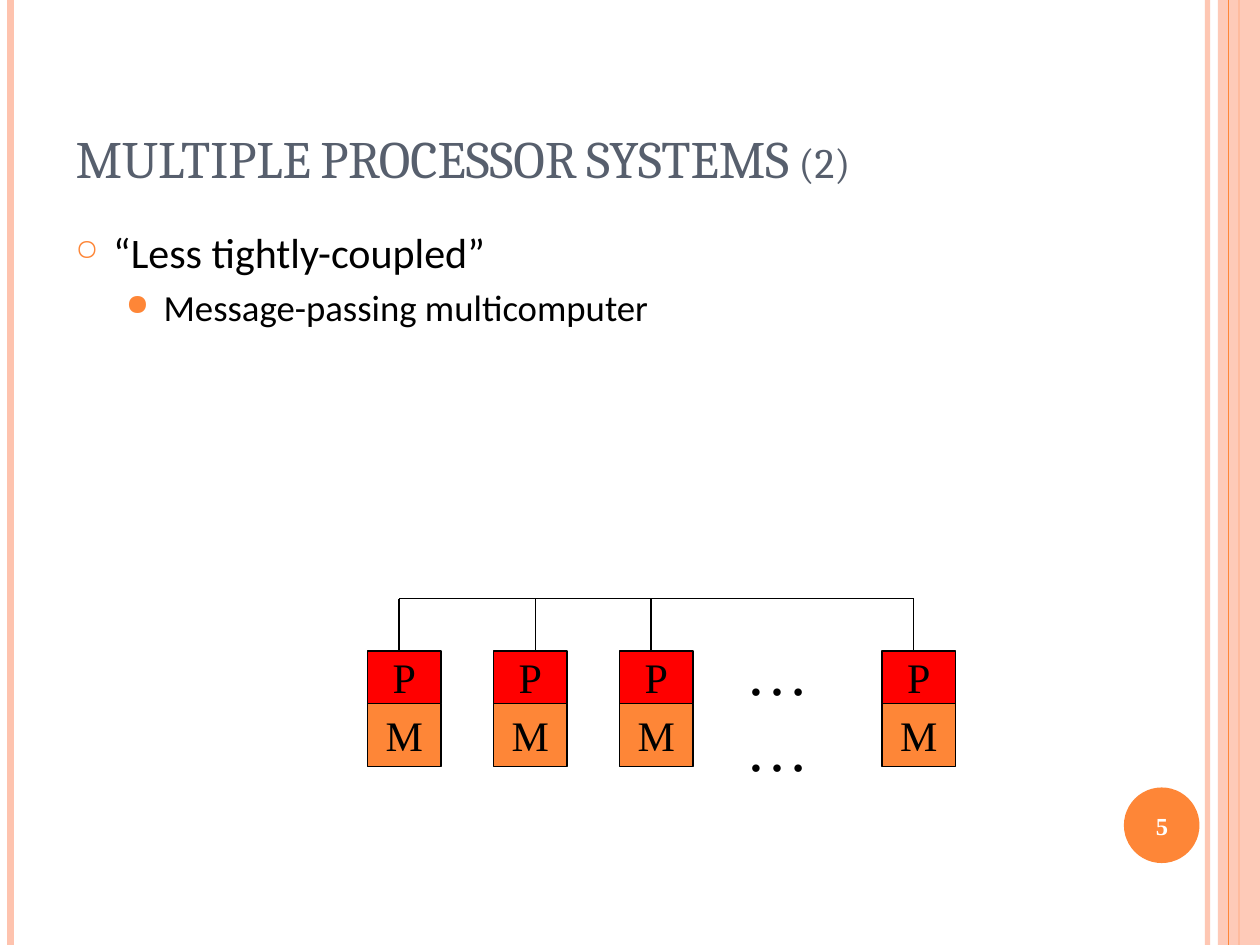
"""Build the slide on message-passing multicomputers."""
from dataclasses import dataclass

import lxml.etree
import pptx
import pptx.dml.color
import pptx.enum.shapes
import pptx.enum.text
import pptx.oxml.ns
import pptx.util

Pt = pptx.util.Pt
qn = pptx.oxml.ns.qn
Shape = pptx.enum.shapes.MSO_SHAPE
Align = pptx.enum.text.PP_ALIGN
Anchor = pptx.enum.text.MSO_ANCHOR

ORANGE, PEACH, RED = "FE8637", "FEC3AE", "FF0000"
BLACK, WHITE, SLATE = "000000", "FFFFFF", "575F6D"
SERIF = "Times New Roman"


@dataclass
class Stripe:
    x: float
    color: str
    width: float
    opacity: int = 100


@dataclass
class Bullet:
    text: str
    level: int
    size: float
    space_before: float
    margin: float
    mark: str
    mark_percent: int


@dataclass
class Node:
    left: float
    drop_x: float


STRIPES = [Stripe(690, PEACH, 3, 93), Stripe(6, PEACH, 4.5), Stripe(708, ORANGE, 1.5)]
INNER_STRIPE = Stripe(702, ORANGE, 0.75)
BULLETS = [
    Bullet("“Less tightly-coupled”", 0, 24, 6, 21.6, "○", 70),
    Bullet("Message-passing multicomputer", 1, 21, 4.2, 50.4, "●", 80),
]
NODES = [Node(210, 228), Node(282, 306), Node(354, 372), Node(504, 522)]
BUS_TOP, NODE_TOP, NODE_WIDTH = 342, 372, 42
PROCESSOR_HEIGHT, MEMORY_HEIGHT = 30, 36


def paint(target, color: str, opacity: int = 100) -> None:
    target.solid()
    target.fore_color.rgb = pptx.dml.color.RGBColor.from_string(color)
    if opacity < 100:
        rgb = target.fore_color._xFill.find(qn("a:srgbClr"))
        lxml.etree.SubElement(rgb, qn("a:alpha"), val=str(opacity * 1000))


def style(paragraph, font: str, size: float, color: str, bold: bool = False) -> None:
    for run in paragraph.runs:
        run.font.name = font
        run.font.size = Pt(size)
        run.font.bold = bold
        paint(run.font.fill, color)


def add_line(slide, start: tuple, end: tuple, color: str = BLACK,
             width: float = 0.75, opacity: int = 100) -> None:
    line = slide.shapes.add_connector(
        pptx.enum.shapes.MSO_CONNECTOR.STRAIGHT, *map(Pt, start + end))
    line.line.width = Pt(width)
    paint(line.line.fill, color, opacity)
    lxml.etree.SubElement(line._element.spPr, qn("a:effectLst"))


def add_stripe(slide, stripe: Stripe) -> None:
    add_line(slide, (stripe.x, 0), (stripe.x, 540), stripe.color, stripe.width, stripe.opacity)


def add_solid(slide, kind, box: tuple, color: str, opacity: int = 100):
    solid = slide.shapes.add_shape(kind, *map(Pt, box))
    solid.shadow.inherit = False
    paint(solid.fill, color, opacity)
    solid.line.fill.background()
    return solid


def add_unit(slide, box: tuple, color: str, label: str) -> None:
    unit = add_solid(slide, Shape.RECTANGLE, box, color)
    unit.line.width = Pt(0.75)
    paint(unit.line.fill, BLACK)
    frame = unit.text_frame
    frame.word_wrap = False
    frame.vertical_anchor = Anchor.MIDDLE
    frame.text = label
    frame.paragraphs[0].alignment = Align.CENTER
    style(frame.paragraphs[0], SERIF, 24, BLACK)


def add_text(slide, box: tuple, text: str = ""):
    frame = slide.shapes.add_textbox(*map(Pt, box)).text_frame
    frame.word_wrap = True
    frame.text = text
    return frame


def add_bullet(paragraph, bullet: Bullet) -> None:
    paragraph.text = bullet.text
    paragraph.level = bullet.level
    paragraph.space_before = Pt(bullet.space_before)
    style(paragraph, "Calibri", bullet.size, BLACK)
    props = paragraph._p.get_or_add_pPr()
    props.set("marL", str(Pt(bullet.margin)))
    props.set("indent", str(Pt(-21.6)))
    mark_color = lxml.etree.SubElement(props, qn("a:buClr"))
    lxml.etree.SubElement(mark_color, qn("a:srgbClr"), val=ORANGE)
    lxml.etree.SubElement(props, qn("a:buSzPct"), val=str(bullet.mark_percent * 1000))
    lxml.etree.SubElement(props, qn("a:buChar"), char=bullet.mark)


def add_frame(slide) -> None:
    for stripe in STRIPES:
        add_stripe(slide, stripe)
    add_solid(slide, Shape.RECTANGLE, (696, 0, 24, 540), PEACH, 87)
    add_stripe(slide, INNER_STRIPE)
    add_solid(slide, Shape.OVAL, (642.24, 450, 43.2, 43.2), ORANGE)
    number = add_text(slide, (640, 451.5, 48, 41), "5")
    number.vertical_anchor = Anchor.MIDDLE
    number.paragraphs[0].alignment = Align.CENTER
    style(number.paragraphs[0], SERIF, 14, WHITE, True)


def set_title(slide, text: str) -> None:
    title = slide.shapes.title
    title.left, title.top, title.width, title.height = map(Pt, (36, 21.6, 588, 90))
    frame = title.text_frame
    frame.text = text
    frame.auto_size = pptx.enum.text.MSO_AUTO_SIZE.NONE
    frame.vertical_anchor = Anchor.BOTTOM
    heading = frame.paragraphs[0]
    heading.alignment = Align.LEFT
    style(heading, "Cambria", 30, SLATE)
    heading.runs[0].font._element.set("cap", "small")


def add_bullets(slide) -> None:
    body = add_text(slide, (36, 126, 588, 384))
    for index, bullet in enumerate(BULLETS):
        add_bullet(body.add_paragraph() if index else body.paragraphs[0], bullet)


def add_multicomputer(slide) -> None:
    add_line(slide, (NODES[0].drop_x, BUS_TOP), (NODES[-1].drop_x, BUS_TOP))
    for node in NODES:
        add_line(slide, (node.drop_x, BUS_TOP), (node.drop_x, NODE_TOP))
        add_unit(slide, (node.left, NODE_TOP, NODE_WIDTH, PROCESSOR_HEIGHT), RED, "P")
        add_unit(slide, (node.left, NODE_TOP + PROCESSOR_HEIGHT, NODE_WIDTH, MEMORY_HEIGHT),
                 ORANGE, "M")
    ellipsis = add_text(slide, (419, 358, 62.5, 49), "……")
    style(ellipsis.paragraphs[0], SERIF, 36, BLACK)


def main() -> None:
    deck = pptx.Presentation()
    deck.slide_width, deck.slide_height = Pt(720), Pt(540)
    slide = deck.slides.add_slide(deck.slide_layouts.get_by_name("Title Only"))
    paint(slide.background.fill, WHITE)
    add_frame(slide)
    set_title(slide, "MULTIPLE PROCESSOR SYSTEMS (2)")
    add_bullets(slide)
    add_multicomputer(slide)
    deck.save("out.pptx")


main()
